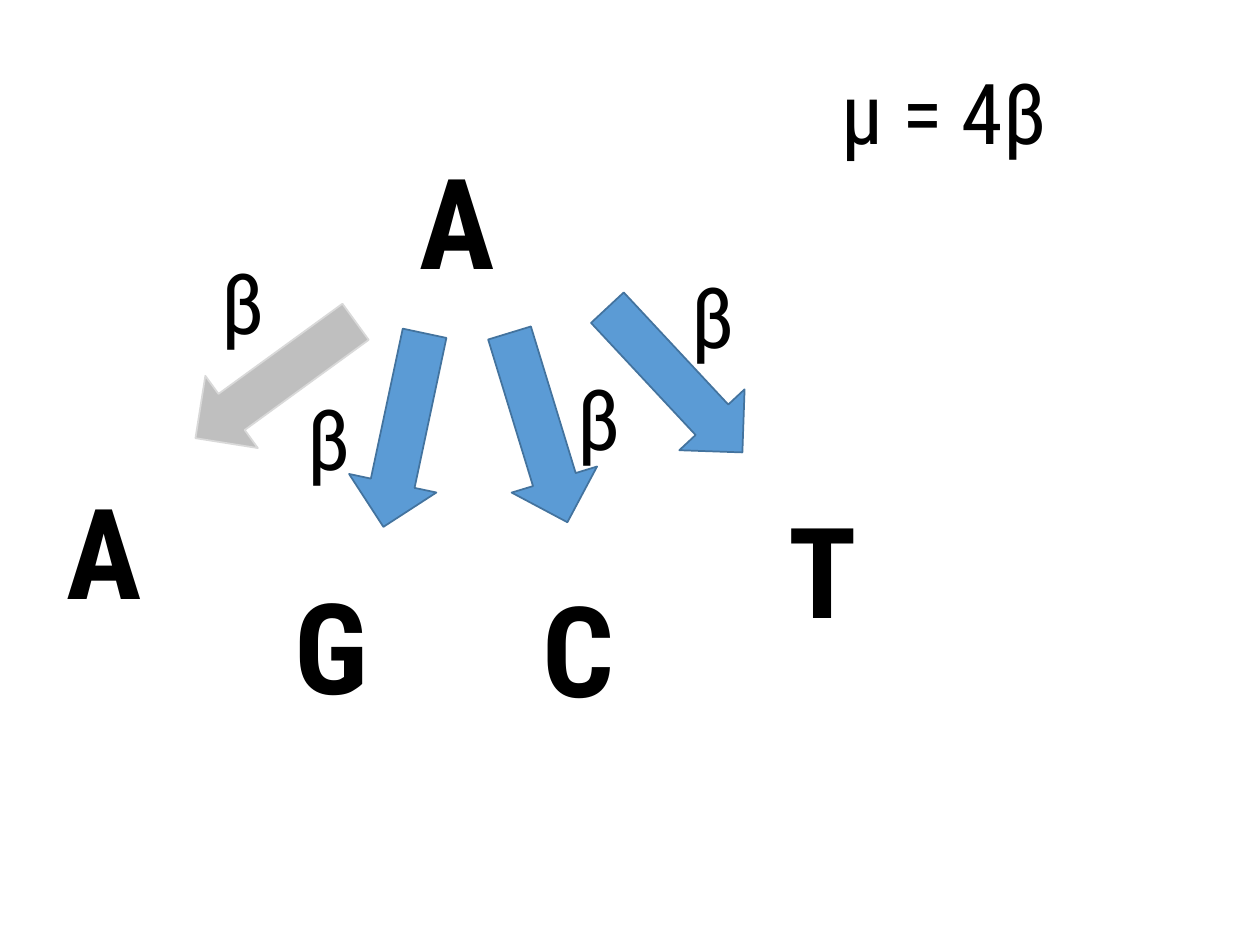
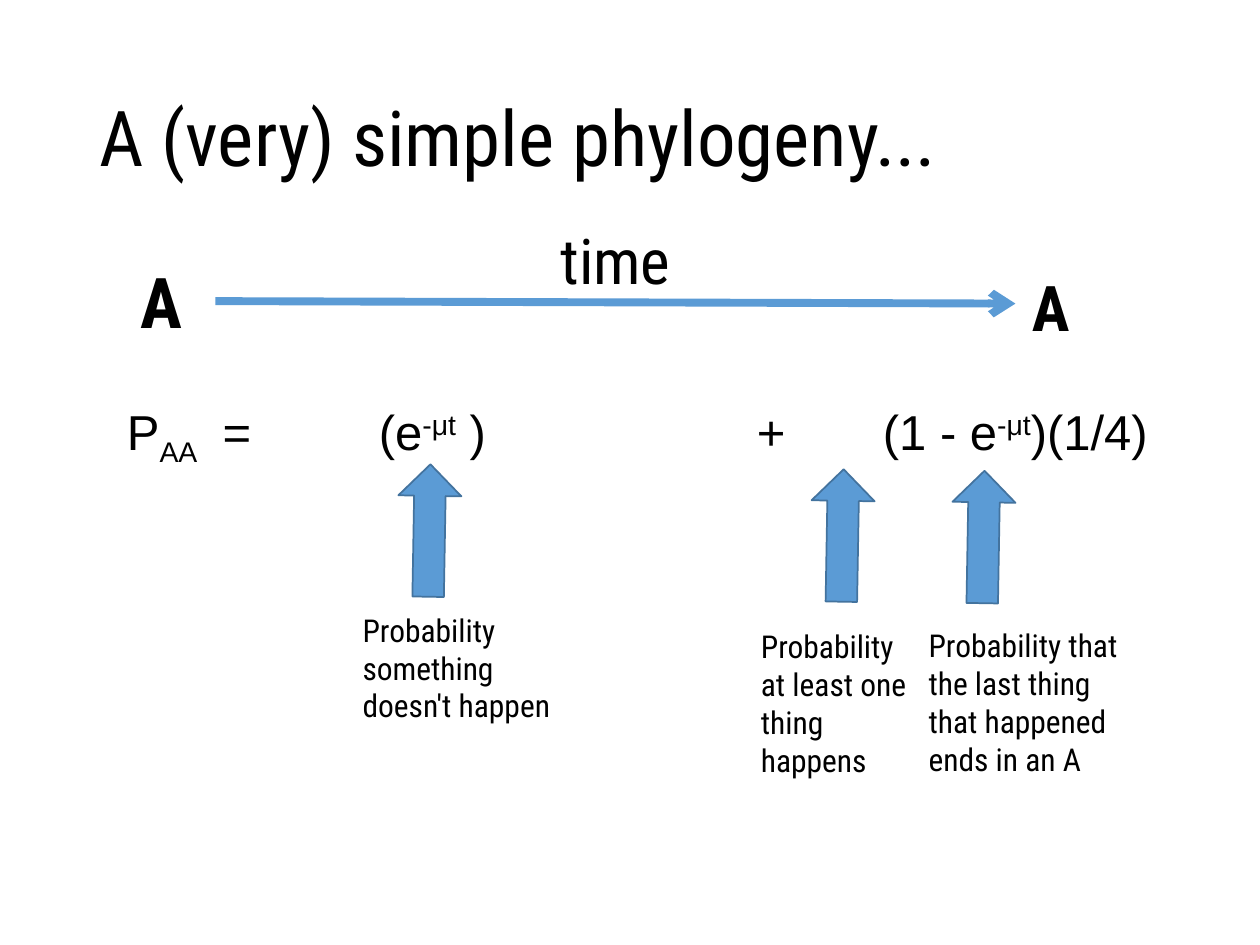
"""Build two slides on a simple model of nucleotide substitution."""
import pptx
import pptx.util
import pptx.dml.color
import pptx.enum.shapes
import pptx.enum.text
import pptx.oxml.ns
from lxml import etree

Cm, Pt, qn = pptx.util.Cm, pptx.util.Pt, pptx.oxml.ns.qn
SHAPE = pptx.enum.shapes.MSO_SHAPE
COLORS = {"text": "000000", "arrow": "5B9BD5", "arrow_edge": "43739E",
          "same": "BFBFBF", "same_edge": "D9D9D9"}
FONT = "Roboto Condensed"


def rgb(name):
    return pptx.dml.color.RGBColor.from_string(COLORS[name])


def add_run(p, text, size, bold=False, font=FONT, baseline=0):
    r = p.add_run()
    r.text = text
    r.font.size, r.font.bold, r.font.name = Pt(size), bold, font
    r.font.color.rgb = rgb("text")
    if baseline:
        r.font._element.set("baseline", str(baseline * 1000))


def add_box(slide, x, y, w, h, wrap=True):
    sp = slide.shapes.add_textbox(Cm(x), Cm(y), Cm(w), Cm(h))
    sp.text_frame.word_wrap = wrap
    return sp.text_frame


def add_label(slide, text, x, y, w, h, size, bold=False, wrap=True):
    tf = add_box(slide, x, y, w, h, wrap)
    tf.auto_size = pptx.enum.text.MSO_AUTO_SIZE.SHAPE_TO_FIT_TEXT
    add_run(tf.paragraphs[0], text, size, bold)


def add_block_arrow(slide, kind, x, y, w, h, rotation, color="arrow"):
    sp = slide.shapes.add_shape(kind, Cm(x), Cm(y), Cm(w), Cm(h))
    sp.rotation = rotation
    sp.shadow.inherit = False
    sp.fill.solid()
    sp.fill.fore_color.rgb = rgb(color)
    sp.line.color.rgb = rgb(color + "_edge")
    sp.line.width = Pt(1)


def add_time_line(slide, x1, y1, x2, y2):
    line = slide.shapes.add_connector(
        pptx.enum.shapes.MSO_CONNECTOR.STRAIGHT, Cm(x1), Cm(y1), Cm(x2), Cm(y2))
    line.line.color.rgb = rgb("arrow")
    line.line.width = Pt(4.5)
    sp_pr = line._element.spPr
    etree.SubElement(sp_pr.find(qn("a:ln")), qn("a:tailEnd"), type="arrow")
    etree.SubElement(sp_pr, qn("a:effectLst"))


def add_title(slide, text):
    sp = slide.shapes.title
    sp.left, sp.top, sp.width, sp.height = Cm(1.75), Cm(1.02), Cm(21.92), Cm(3.68)
    tf = sp.text_frame
    tf.word_wrap = True
    tf.auto_size = pptx.enum.text.MSO_AUTO_SIZE.NONE
    tf.vertical_anchor = pptx.enum.text.MSO_ANCHOR.MIDDLE
    p = tf.paragraphs[0]
    p.alignment = pptx.enum.text.PP_ALIGN.LEFT
    p.line_spacing = 0.9
    add_run(p, text, 44)


def add_formula(slide, parts, tab_stops, x, y, w, h):
    p = add_box(slide, x, y, w, h).paragraphs[0]
    p.line_spacing, p.space_before = 0.9, Pt(10)
    tabs = etree.SubElement(p._p.get_or_add_pPr(), qn("a:tabLst"))
    for stop in tab_stops:
        etree.SubElement(tabs, qn("a:tab"), pos=str(Cm(stop)), algn="l")
    for text, baseline in parts:
        add_run(p, text, 28, font="Arial", baseline=baseline)


def build_rates(prs):
    slide = prs.slides.add_slide(prs.slide_layouts[6])
    for base, x, y in [("A", 8.2, 2.77), ("T", 15.65, 9.8), ("C", 10.69, 11.4),
                       ("G", 5.69, 11.33), ("A", 1.09, 9.42)]:
        add_label(slide, base, x, y, 5.41, 3.3, 72, bold=True)
    for x, y, rotation, color in [(3.56, 6.76, 324, "same"), (6.15, 7.77, 282, "arrow"),
                                  (8.86, 7.72, 253, "arrow"), (11.61, 6.76, 227, "arrow")]:
        add_block_arrow(slide, SHAPE.LEFT_ARROW, x, y, 3.99, 1.8, rotation, color)
    for x, y in [(4.22, 4.93), (5.94, 7.67), (11.4, 7.26), (13.69, 5.21)]:
        add_label(slide, "β", x, y, 1.47, 2.29, 48, wrap=False)
    add_label(slide, "μ = 4β", 16.71, 1.09, 5.33, 2.29, 48, wrap=False)


def build_phylogeny(prs):
    slide = prs.slides.add_slide(prs.slide_layouts[5])
    add_title(slide, "A (very) simple phylogeny...")
    add_time_line(slide, 4.34, 6.07, 20.47, 6.12)
    add_label(slide, "time", 11.05, 4.34, 4.17, 1.78, 36)
    add_label(slide, "A", 2.59, 5.08, 3.23, 1.96, 40, bold=True)
    add_label(slide, "A", 20.55, 5.28, 2.41, 1.78, 36, bold=True)
    parts = [("P", 0), ("AA", -25), ("\t=\t(e", 0), ("-μt", 30),
             (" )\t+\t(1 - e", 0), ("-μt", 30), (")(1/4)", 0)]
    add_formula(slide, parts, [1.93, 5.08, 10.16 + 2.54, 15.24], 2.31, 7.98, 21.92, 12.09)
    for x, y in [(7.32, 10.06), (15.65, 10.16), (18.49, 10.19)]:
        add_block_arrow(slide, SHAPE.RIGHT_ARROW, x, y, 2.67, 1.27, 271)
    for text, x, y, w, h in [
            ("Probability something doesn't happen", 7.06, 12.19, 4.42, 3.3),
            ("Probability at least one thing happens", 15.09, 12.52, 3.61, 3.3),
            ("Probability that the last thing that happened ends in an A",
             18.47, 12.5, 4.42, 4.06)]:
        add_label(slide, text, x, y, w, h, 18)


def main():
    prs = pptx.Presentation()
    prs.slide_width, prs.slide_height = Cm(25.4), Cm(19.05)
    build_rates(prs)
    build_phylogeny(prs)
    prs.save("out.pptx")


if __name__ == "__main__":
    main()
